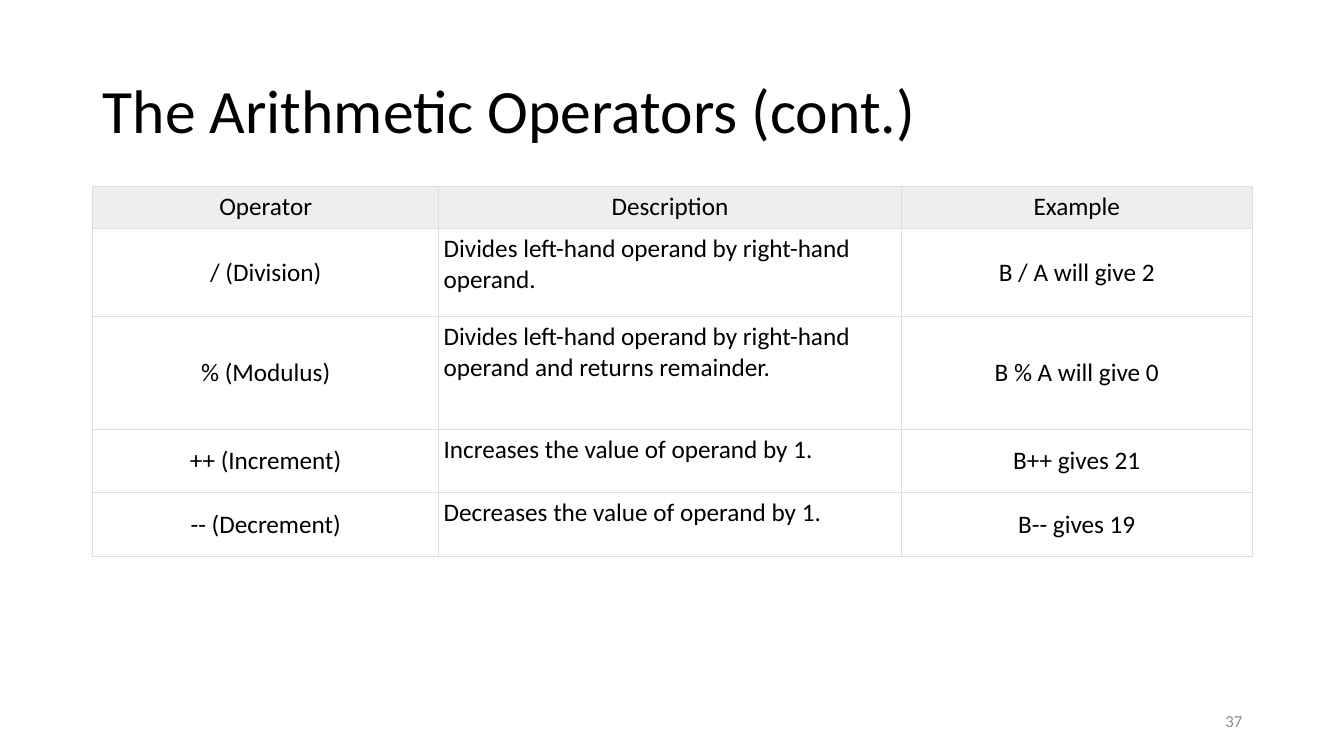
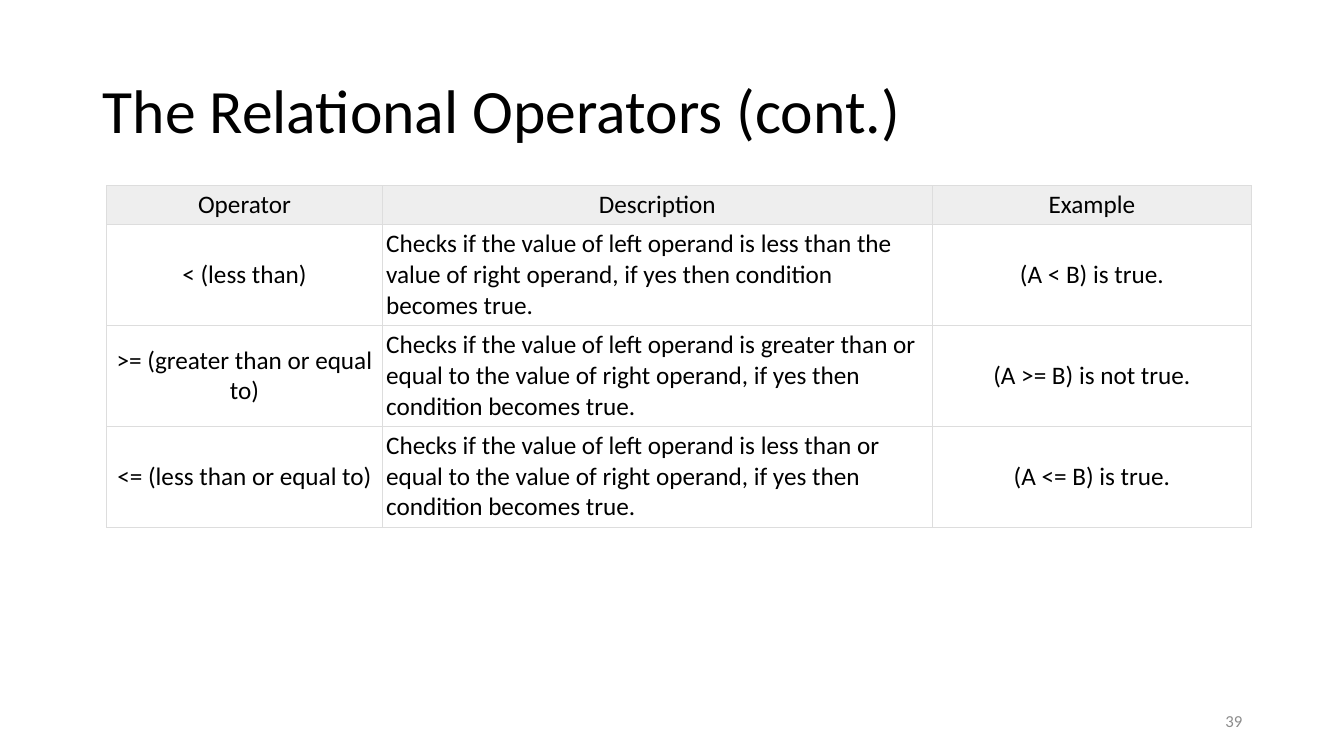
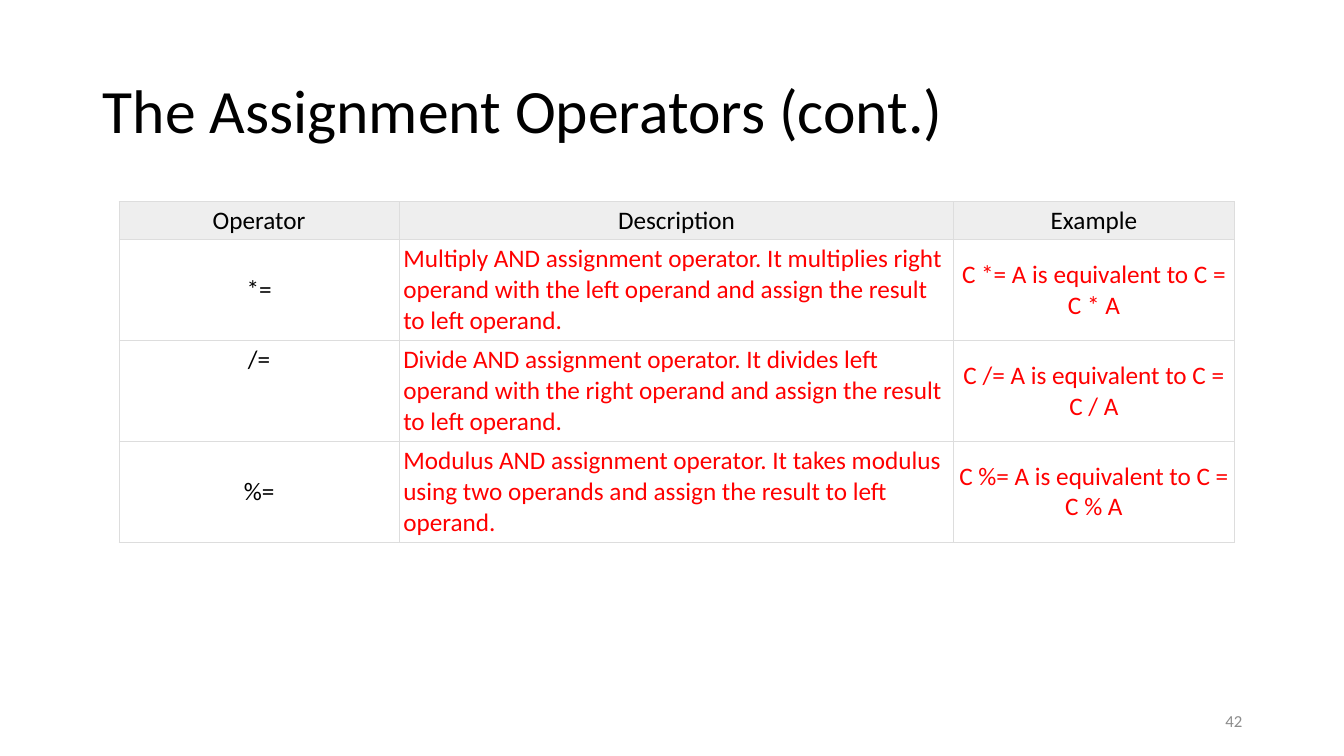
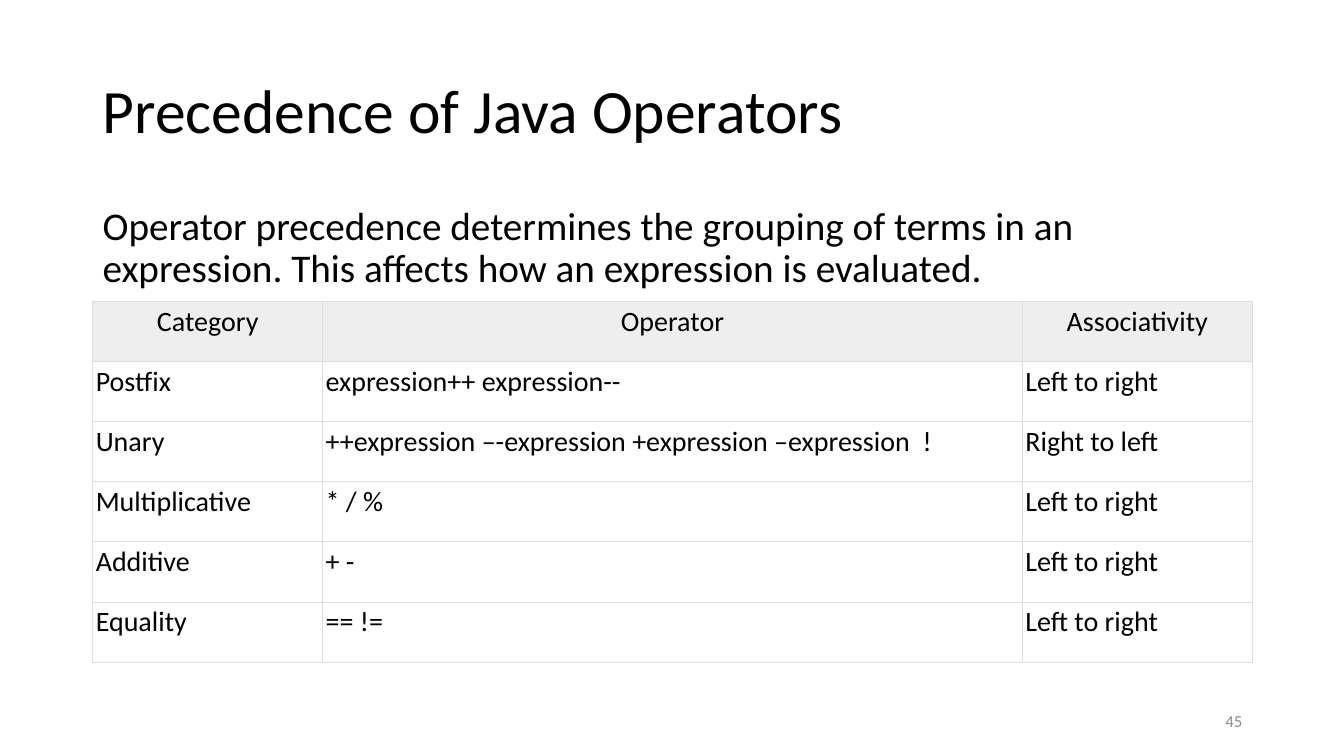
from dataclasses import dataclass

from lxml.etree import SubElement
from pptx import Presentation
from pptx.dml.color import RGBColor
from pptx.enum.text import MSO_ANCHOR as ANCHOR, MSO_AUTO_SIZE as AUTO_SIZE, PP_ALIGN as ALIGN
from pptx.oxml.ns import qn
from pptx.util import Inches, Pt

SLIDE_WIDTH, SLIDE_HEIGHT = 13.33, 7.5
MARGIN = 0.92
CONTENT_WIDTH = 11.5
TITLE_ONLY = 5
FONT = "Calibri"
BLACK, RED, GREY = "000000", "FF0000", "8C8C8C"
HEADER_FILL, BORDER = "EEEEEE", "DDDDDD"


@dataclass
class Style:
    """Look of the body cells in one table column."""
    align: ALIGN = ALIGN.LEFT
    anchor: ANCHOR = ANCHOR.TOP
    color: str = BLACK


HEADER = Style(ALIGN.CENTER)
CENTERED = Style(ALIGN.CENTER, ANCHOR.MIDDLE)
PLAIN = Style()
OPERATOR_COLUMNS = (CENTERED, PLAIN, CENTERED)
ASSIGNMENT_COLUMNS = (CENTERED, Style(color=RED), Style(ALIGN.CENTER, ANCHOR.MIDDLE, RED))
OPERATOR_HEADINGS = ("Operator", "Description", "Example")

ARITHMETIC = [
    OPERATOR_HEADINGS,
    ("/ (Division)", "Divides left-hand operand by right-hand operand.", "B / A will give 2"),
    ("% (Modulus)", "Divides left-hand operand by right-hand operand and returns remainder.",
     "B % A will give 0"),
    ("++ (Increment)", "Increases the value of operand by 1.", "B++ gives 21"),
    ("-- (Decrement)", "Decreases the value of operand by 1.", "B-- gives 19"),
]
RELATIONAL = [
    OPERATOR_HEADINGS,
    ("< (less than)",
     "Checks if the value of left operand is less than the value of right operand, "
     "if yes then condition becomes true.",
     "(A < B) is true."),
    (">= (greater than or equal to)",
     "Checks if the value of left operand is greater than or equal to the value of right "
     "operand, if yes then condition becomes true.",
     "(A >= B) is not true."),
    ("<= (less than or equal to)",
     "Checks if the value of left operand is less than or equal to the value of right "
     "operand, if yes then condition becomes true.",
     "(A <= B) is true."),
]
ASSIGNMENT = [
    OPERATOR_HEADINGS,
    ("*=",
     "Multiply AND assignment operator. It multiplies right operand with the left operand "
     "and assign the result to left operand.",
     "C *= A is equivalent to C = C * A"),
    ("/=",
     "Divide AND assignment operator. It divides left operand with the right operand "
     "and assign the result to left operand.",
     "C /= A is equivalent to C = C / A"),
    ("%=",
     "Modulus AND assignment operator. It takes modulus using two operands "
     "and assign the result to left operand.",
     "C %= A is equivalent to C = C % A"),
]
PRECEDENCE = [
    ("Category", "Operator", "Associativity"),
    ("Postfix", "expression++ expression--", "Left to right"),
    ("Unary", "++expression –-expression +expression –expression  !", "Right to left"),
    ("Multiplicative", "* / %", "Left to right"),
    ("Additive", "+ -", "Left to right"),
    ("Equality", "== !=", "Left to right"),
]


def rgb(color):
    """Turn a hex string into a colour."""
    return RGBColor.from_string(color)


def write(frame, text, size, color=BLACK, align=ALIGN.LEFT):
    """Put one formatted paragraph into a text frame and return it."""
    frame.word_wrap = True
    para = frame.paragraphs[0]
    para.text = text
    para.alignment = align
    para.font.name = FONT
    para.font.size = Pt(size)
    para.font.color.rgb = rgb(color)
    return para


def add_text(page, area, text, size, color=BLACK, align=ALIGN.LEFT, anchor=ANCHOR.TOP):
    """Add a text box at area (left, top, width, height) and return its paragraph."""
    box = page.shapes.add_textbox(*map(Inches, area))
    box.text_frame.vertical_anchor = anchor
    return write(box.text_frame, text, size, color, align)


def add_page(deck, title, number):
    """Add a slide with the shared title style and slide number."""
    page = deck.slides.add_slide(deck.slide_layouts[TITLE_ONLY])
    box = page.shapes.title
    box.left, box.top = Inches(MARGIN), Inches(0.4)
    box.width, box.height = Inches(CONTENT_WIDTH), Inches(1.45)
    box.text_frame.auto_size = AUTO_SIZE.NONE
    box.text_frame.vertical_anchor = ANCHOR.MIDDLE
    write(box.text_frame, title, 44).line_spacing = 0.9
    number_width = 3
    left = MARGIN + CONTENT_WIDTH - number_width
    add_text(page, (left, 6.95, number_width, 0.4), str(number), 12,
             GREY, ALIGN.RIGHT, ANCHOR.MIDDLE)
    return page


def add_borders(cell):
    """Draw a thin line on all four sides of a cell."""
    properties = cell._tc.get_or_add_tcPr()
    for side in ("lnL", "lnR", "lnT", "lnB"):
        line = SubElement(properties, qn(f"a:{side}"), w=str(Pt(0.75)))
        fill = SubElement(line, qn("a:solidFill"))
        SubElement(fill, qn("a:srgbClr"), val=BORDER)


def format_cell(cell, text, style, size, inset, is_header):
    """Fill in one cell with its text, lines and background."""
    add_borders(cell)
    if is_header:
        cell.fill.solid()
        cell.fill.fore_color.rgb = rgb(HEADER_FILL)
    else:
        cell.fill.background()
    cell.margin_left = cell.margin_right = Inches(inset)
    cell.margin_top = cell.margin_bottom = Inches(inset)
    cell.vertical_anchor = style.anchor
    write(cell.text_frame, text, size, style.color, style.align)


def add_grid(page, left, top, widths, heights, content, styles, size=18, inset=0.04):
    """Add a table whose first row is a header, and return it."""
    frame = page.shapes.add_table(len(heights), len(widths), Inches(left), Inches(top),
                                  Inches(sum(widths)), Inches(sum(heights)))
    table = frame.table
    table.first_row = table.horz_banding = False
    for column, width in zip(table.columns, widths):
        column.width = Inches(width)
    for row_index, (row, height, texts) in enumerate(zip(table.rows, heights, content)):
        row.height = Inches(height)
        is_header = row_index == 0
        for cell, text, style in zip(row.cells, texts, styles):
            format_cell(cell, text, HEADER if is_header else style, size, inset, is_header)
    return table


def main():
    """Build the four operator slides."""
    deck = Presentation()
    deck.slide_width, deck.slide_height = Inches(SLIDE_WIDTH), Inches(SLIDE_HEIGHT)

    page = add_page(deck, "The Arithmetic Operators (cont.)", 37)
    add_grid(page, MARGIN, 1.85, (3.43, 4.59, 3.48), (0.42, 0.87, 1.12, 0.63, 0.63),
             ARITHMETIC, OPERATOR_COLUMNS, inset=0.05)

    page = add_page(deck, "The Relational Operators (cont.)", 39)
    add_grid(page, 1.06, 1.84, (2.73, 5.46, 3.16), (0.39, 1, 1, 1),
             RELATIONAL, OPERATOR_COLUMNS)

    page = add_page(deck, "The Assignment Operators (cont.)", 42)
    table = add_grid(page, 1.18, 2, (2.78, 5.5, 2.78), (0.38, 1, 1, 1),
                     ASSIGNMENT, ASSIGNMENT_COLUMNS)
    table.cell(2, 0).vertical_anchor = ANCHOR.TOP

    page = add_page(deck, "Precedence of Java Operators", 45)
    para = add_text(page, (MARGIN, 2, CONTENT_WIDTH, 4.76),
                    "Operator precedence determines the grouping of terms in an expression. "
                    "This affects how an expression is evaluated.", 28)
    para.line_spacing = 0.9
    para.space_before = Pt(10)
    row_count = len(PRECEDENCE)
    add_grid(page, MARGIN, 2.99, (2.28, 6.94, 2.28), [3.58 / row_count] * row_count,
             PRECEDENCE, (PLAIN, PLAIN, PLAIN), size=20, inset=0.03)

    deck.save("out.pptx")


main()
